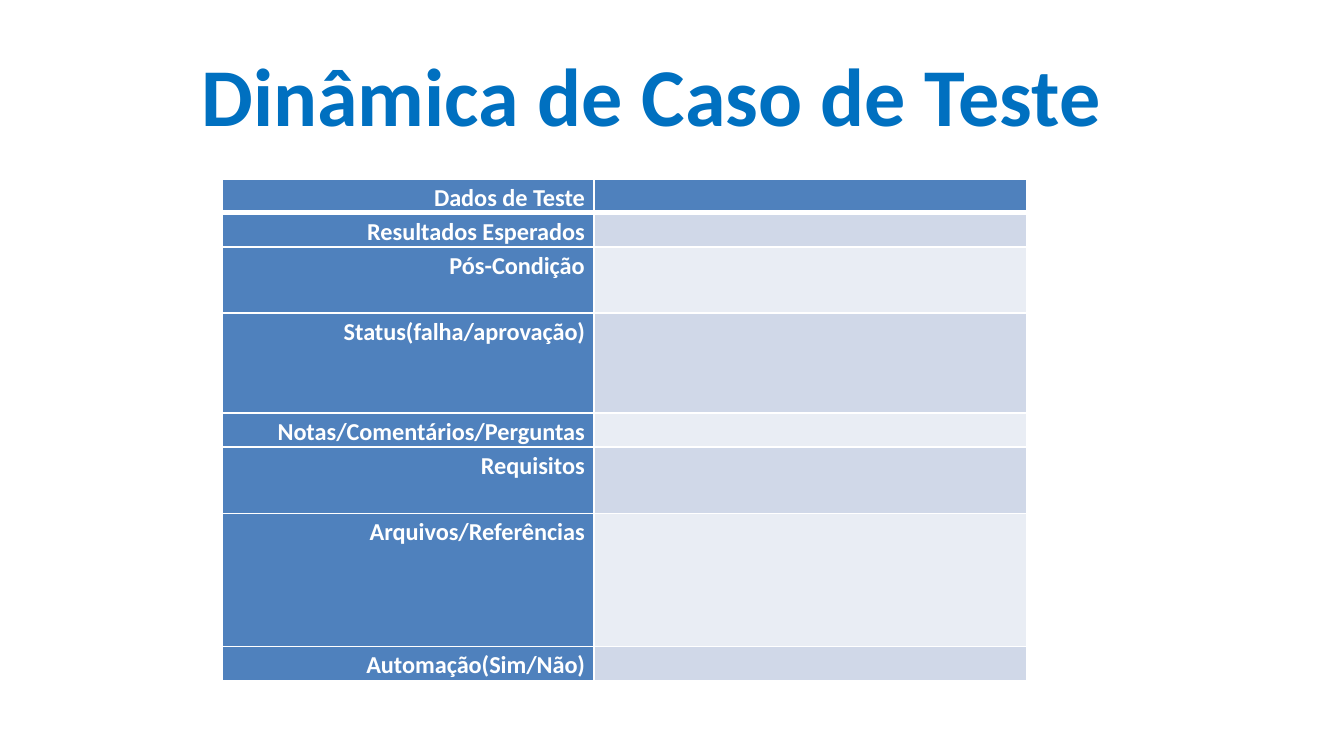
from typing import NamedTuple

from lxml.etree import SubElement
from pptx import Presentation
from pptx.dml.color import RGBColor
from pptx.enum.text import MSO_ANCHOR, MSO_AUTO_SIZE, PP_ALIGN
from pptx.oxml.ns import qn
from pptx.util import Inches, Pt

COLORS = {
    "title": "0070C0",
    "label": "4F81BD",
    "odd": "D0D8E8",
    "even": "E9EDF4",
    "white": "FFFFFF",
}
FONT = "Calibri"
TEXT_SIZE = 13
PAGE_WIDTH = Inches(10)
PAGE_HEIGHT = PAGE_WIDTH * 9 // 16
TABLE_LEFT, TABLE_TOP = Inches(1.65), Inches(1.33)
COLUMN_WIDTHS = (Inches(2.77), Inches(3.22))
TABLE_HEIGHT = Inches(3.71)


class Field(NamedTuple):
    label: str
    lines: int


FIELDS = (
    Field("Dados de Teste", 1),
    Field("Resultados Esperados", 1),
    Field("Pós-Condição", 2),
    Field("Status(falha/aprovação)", 3),
    Field("Notas/Comentários/Perguntas", 1),
    Field("Requisitos", 2),
    Field("Arquivos/Referências", 4),
    Field("Automação(Sim/Não)", 1),
)


def write(para, text: str, *, size: float, color: str, align, spacing: float = 1) -> None:
    para.alignment = align
    para.line_spacing = spacing
    span = para.add_run()
    span.text = text
    span.font.name = FONT
    span.font.size = Pt(size)
    span.font.bold = True
    span.font.color.rgb = RGBColor.from_string(COLORS[color])


def draw_borders(cell, widths: dict[str, float]) -> None:
    properties = cell._tc.get_or_add_tcPr()
    for side, width in widths.items():
        line = SubElement(properties, qn(f"a:ln{side}"), w=str(Pt(width)))
        fill = SubElement(line, qn("a:solidFill"))
        SubElement(fill, qn("a:srgbClr"), val=COLORS["white"])


def format_cell(cell, row: int, color: str) -> None:
    cell.margin_left = cell.margin_right = Inches(0.07)
    cell.margin_top = cell.margin_bottom = 0
    top = 3 if row == 1 else 1
    bottom = 3 if row == 0 else 1
    draw_borders(cell, {"L": 1, "R": 1, "T": top, "B": bottom})
    cell.fill.solid()
    cell.fill.fore_color.rgb = RGBColor.from_string(COLORS[color])


def draw_title(page) -> None:
    box = page.shapes.title
    box.left, box.top = int(PAGE_WIDTH * 0.05), Inches(0.23)
    box.width, box.height = int(PAGE_WIDTH * 0.9), Inches(0.94)
    frame = box.text_frame
    frame.auto_size = MSO_AUTO_SIZE.NONE
    frame.vertical_anchor = MSO_ANCHOR.MIDDLE
    frame.margin_left = frame.margin_top = frame.margin_bottom = Inches(0.05)
    frame.margin_right = Inches(0.35)
    write(frame.paragraphs[0], "Dinâmica de Caso de Teste",
          size=44, color="title", align=PP_ALIGN.CENTER)


def draw_table(page, fields: tuple[Field, ...]) -> None:
    table = page.shapes.add_table(
        len(fields), len(COLUMN_WIDTHS), TABLE_LEFT, TABLE_TOP,
        sum(COLUMN_WIDTHS), TABLE_HEIGHT).table
    table.first_col = True
    for column, width in zip(table.columns, COLUMN_WIDTHS):
        column.width = width
    line_height = TABLE_HEIGHT / sum(field.lines for field in fields)
    for row, field in enumerate(fields):
        table.rows[row].height = int(line_height * field.lines)
        label, value = table.cell(row, 0), table.cell(row, 1)
        format_cell(label, row, "label")
        write(label.text_frame.paragraphs[0], field.label, size=TEXT_SIZE,
              color="white", align=PP_ALIGN.RIGHT, spacing=1.15)
        band = "odd" if row % 2 else "even"
        format_cell(value, row, band if row else "label")
        SubElement(value.text_frame.paragraphs[0]._p, qn("a:endParaRPr"),
                   sz=str(TEXT_SIZE * 100))


def main() -> None:
    deck = Presentation()
    deck.slide_width, deck.slide_height = PAGE_WIDTH, PAGE_HEIGHT
    page = deck.slides.add_slide(deck.slide_layouts.get_by_name("Title Only"))
    draw_title(page)
    draw_table(page, FIELDS)
    deck.save("out.pptx")


if __name__ == "__main__":
    main()
